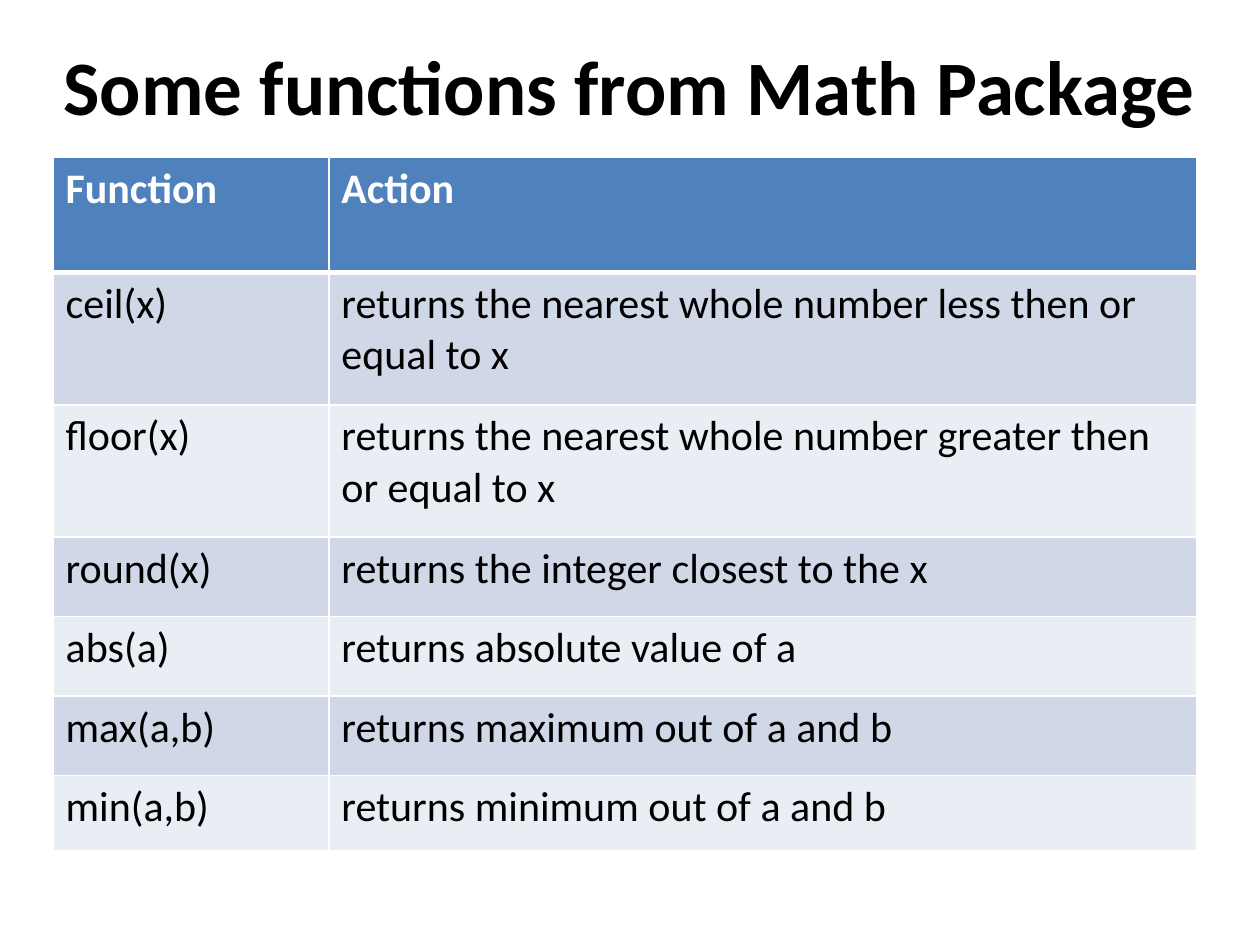
import pptx
import pptx.util
import pptx.dml.color
import pptx.enum.text
import pptx.oxml
import pptx.oxml.ns
from pptx.util import Cm

# Content
TITLE = "Some functions from Math Package"
ROWS = [
    ("Function", "Action"),
    ("ceil(x)", "returns the nearest whole number less then or equal to x"),
    ("floor(x)", "returns the nearest whole number greater then or equal to x"),
    ("round(x)", "returns the integer closest to the x"),
    ("abs(a)", "returns absolute value of a"),
    ("max(a,b)", "returns maximum out of a and b"),
    ("min(a,b)", "returns minimum out of a and b"),
]

# Layout in centimetres
COLUMN_WIDTHS = [5.56, 17.5]
ROW_HEIGHTS = [2.31, 2.67, 2.67, 1.6, 1.6, 1.6, 1.52]
TABLE_LEFT, TABLE_TOP = 1.07, 3.18

COLORS = {
    "header": "4F81BD",
    "odd": "D0D8E8",
    "even": "E9EDF4",
    "white": "FFFFFF",
    "black": "000000",
}


def color(name):
    return pptx.dml.color.RGBColor.from_string(COLORS[name])


def format_font(font, color_name, **values):
    for name, value in {"name": "Calibri", **values}.items():
        setattr(font, name, value)
    font.color.rgb = color(color_name)


def add_borders(cell, widths):
    properties = cell._tc.get_or_add_tcPr()
    for side, width in widths.items():
        properties.append(pptx.oxml.parse_xml(
            f'<a:ln{side} {pptx.oxml.ns.nsdecls("a")} w="{pptx.util.Pt(width)}">'
            f'<a:solidFill><a:srgbClr val="{COLORS["white"]}"/></a:solidFill>'
            f'</a:ln{side}>'))


presentation = pptx.Presentation()
presentation.slide_width, presentation.slide_height = Cm(25.4), Cm(19.05)
slide = presentation.slides.add_slide(presentation.slide_layouts.get_by_name("Title Only"))

# Title
title = slide.shapes.title
title_box = {"left": 0, "top": 0.43, "width": 25.4, "height": 2.54}
for name, value in title_box.items():
    setattr(title, name, Cm(value))
title.text_frame.text = TITLE
title.text_frame.vertical_anchor = pptx.enum.text.MSO_ANCHOR.MIDDLE
paragraph = title.text_frame.paragraphs[0]
paragraph.alignment = pptx.enum.text.PP_ALIGN.CENTER
format_font(paragraph.font, "black", size=pptx.util.Pt(44), bold=True)

# Function table
table = slide.shapes.add_table(
    len(ROWS), len(COLUMN_WIDTHS), Cm(TABLE_LEFT), Cm(TABLE_TOP),
    Cm(sum(COLUMN_WIDTHS)), Cm(sum(ROW_HEIGHTS))).table
for column, width in zip(table.columns, COLUMN_WIDTHS):
    column.width = Cm(width)
for row, height in zip(table.rows, ROW_HEIGHTS):
    row.height = Cm(height)

for row_index, texts in enumerate(ROWS):
    is_header = row_index == 0
    fill_name = "header" if is_header else ("even", "odd")[row_index % 2]
    # The rule under the header is thicker than the others
    border_widths = {"L": 1, "R": 1,
                     "T": 3 if row_index == 1 else 1,
                     "B": 3 if is_header else 1}
    for column_index, text in enumerate(texts):
        cell = table.cell(row_index, column_index)
        add_borders(cell, border_widths)
        cell.fill.solid()
        cell.fill.fore_color.rgb = color(fill_name)
        cell.text = text
        format_font(cell.text_frame.paragraphs[0].runs[0].font,
                    "white" if is_header else "black",
                    size=pptx.util.Pt(24), bold=is_header)

presentation.save("out.pptx")
